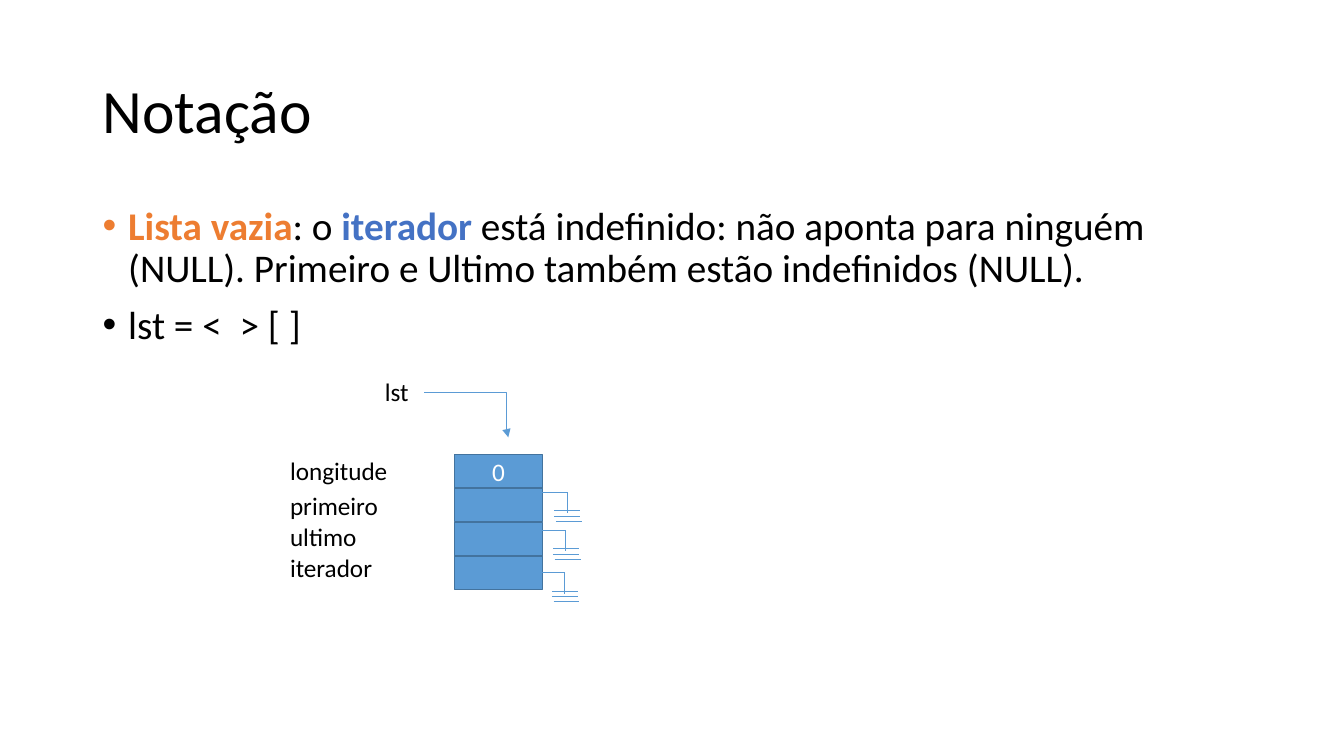
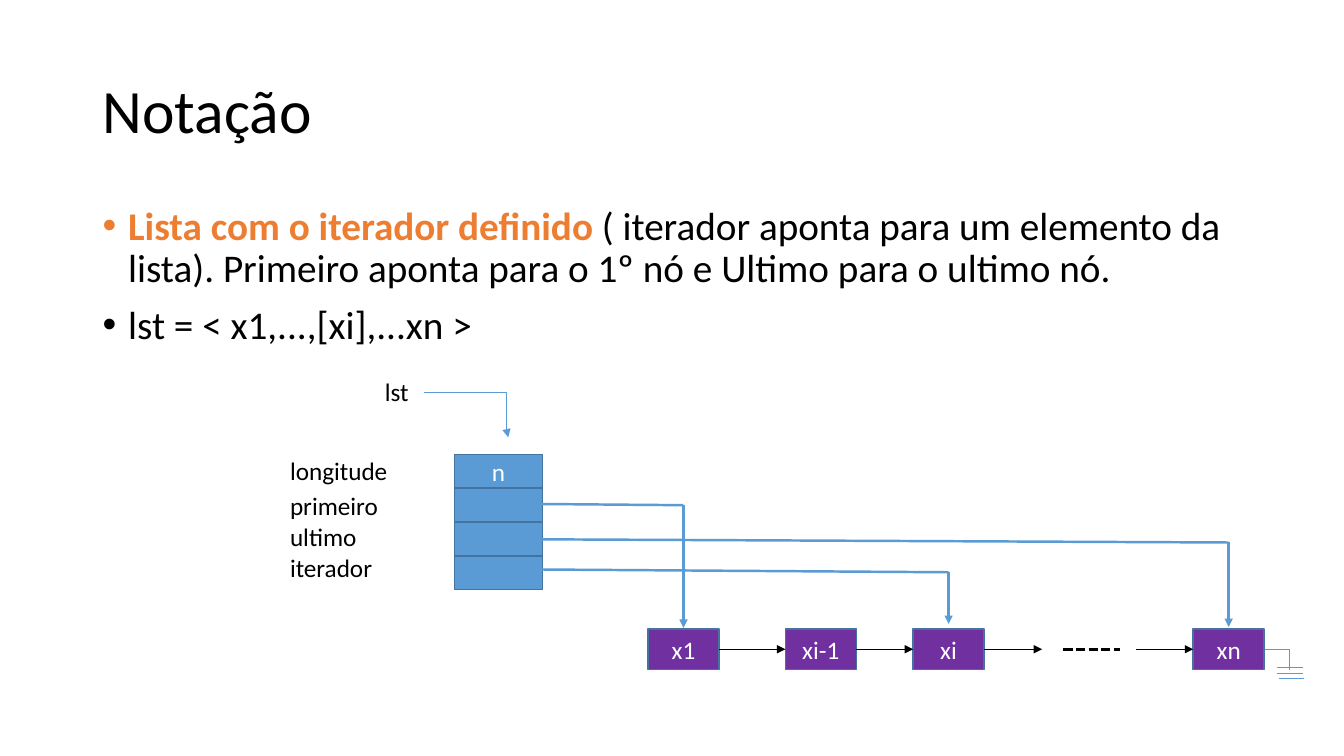
from dataclasses import dataclass
from lxml import etree
from pptx import Presentation
from pptx.dml.color import RGBColor
from pptx.enum.dml import MSO_LINE
from pptx.enum.shapes import MSO_CONNECTOR, MSO_SHAPE
from pptx.enum.text import MSO_ANCHOR, PP_ALIGN
from pptx.oxml.ns import qn
from pptx.util import Cm, Pt

STRAIGHT, ELBOW = MSO_CONNECTOR.STRAIGHT, MSO_CONNECTOR.ELBOW
RECTANGLE = MSO_SHAPE.RECTANGLE
MIDDLE, TOP = MSO_ANCHOR.MIDDLE, MSO_ANCHOR.TOP
LEFT, CENTER = PP_ALIGN.LEFT, PP_ALIGN.CENTER
DASHED = MSO_LINE.SQUARE_DOT


@dataclass(frozen=True)
class Theme:
    font: str = "Calibri"
    ink: str = "000000"
    paper: str = "FFFFFF"
    orange: str = "ED7D31"
    blue: str = "4472C4"
    record: str = "5B9BD5"
    outline: str = "43739E"
    node: str = "7030A0"
    title_size: float = 44
    body_size: float = 28
    label_size: float = 18
    thin: float = 0.5
    border: float = 1
    pointer: float = 1.75
    dash: float = 2.25


THEME = Theme()

TITLE = "Notação"
FIELDS = [("longitude", 11.35), ("primeiro", 12.24), ("ultimo", 13), ("iterador", 13.79)]
SLIDES = [
    {
        "bullets": [
            [("Lista vazia", THEME.orange), (": o ", None), ("iterador", THEME.blue),
             (" está indefinido: não aponta para ninguém (NULL). "
              "Primeiro e Ultimo também estão indefinidos (NULL).", None)],
            [("lst = <  > [ ]", None)],
        ],
        "length": "0",
        "grounds": [(13.64, 12.4), (13.61, 13.36), (13.58, 14.43)],
        "nodes": [],
        "links": [],
        "pointers": [],
    },
    {
        "bullets": [
            [("Lista com o iterador definido ", THEME.orange),
             ("( iterador aponta para um elemento da lista). "
              "Primeiro aponta para o 1º nó e Ultimo para o ultimo nó.", None)],
            [("lst = < x1,...,[xi],...xn >", None)],
        ],
        "length": "n",
        "grounds": [(31.85, 16.36)],
        "nodes": [("x1", 16.33), ("xi-1", 19.79), ("xi", 23.01), ("xn", 30.07)],
        "links": [(18.12, 19.79), (21.58, 23.01), (24.8, 26.26), (28.63, 30.07)],
        "pointers": [("x1", 13.64, 12.7, 12.73, 15.82),
                     ("xn", 13.59, 13.59, 13.67, 15.8),
                     ("xi", 13.56, 14.35, 14.42, 15.72)],
    },
]

RECORD_LEFT, RECORD_TOP, RECORD_PITCH = 11.46, 11.46, 0.85
RECORD_WIDTH, RECORD_HEIGHT = 2.21, 0.84
NODE_TOP, NODE_WIDTH, NODE_HEIGHT = 15.85, 1.79, 1.02
NODE_MIDDLE = NODE_TOP + NODE_HEIGHT / 2
ELLIPSIS = (26.8, 28.22)
GROUND_STROKES = [(0, 0, 0.65, 0), (0.65, 0, 0.65, 0.53), (0.33, 0.46, 0.98, 0.46),
                  (0.33, 0.6, 0.98, 0.6), (0.37, 0.73, 1.02, 0.73)]


def rgb(color):
    return RGBColor.from_string(color)


def style_paragraph(paragraph, size, color, align=LEFT):
    paragraph.alignment = align
    paragraph.font.name = THEME.font
    paragraph.font.size = Pt(size)
    paragraph.font.color.rgb = rgb(color)


def add_label(slide, text, box, size=THEME.label_size, anchor=TOP, line_spacing=1.0):
    frame = slide.shapes.add_textbox(*map(Cm, box)).text_frame
    frame.word_wrap = True
    frame.vertical_anchor = anchor
    paragraph = frame.paragraphs[0]
    paragraph.text = text
    paragraph.line_spacing = line_spacing
    style_paragraph(paragraph, size, THEME.ink)


def add_bullets(slide, bullets):
    frame = slide.shapes.add_textbox(Cm(2.34), Cm(5.08), Cm(29.21), Cm(12.09)).text_frame
    frame.word_wrap = True
    for index, parts in enumerate(bullets):
        paragraph = frame.add_paragraph() if index else frame.paragraphs[0]
        paragraph.line_spacing = 0.9
        paragraph.space_before = Pt(10)
        properties = paragraph._p.get_or_add_pPr()
        properties.set("marL", str(Cm(0.64)))
        properties.set("indent", str(-Cm(0.64)))
        etree.SubElement(properties, qn("a:buFont")).set("typeface", "Arial")
        etree.SubElement(properties, qn("a:buChar")).set("char", "•")
        style_paragraph(paragraph, THEME.body_size, THEME.ink)
        for text, accent in parts:
            run = paragraph.add_run()
            run.text = text
            if accent:
                run.font.bold = True
                run.font.color.rgb = rgb(accent)


def add_cell(slide, text, box, fill):
    cell = slide.shapes.add_shape(RECTANGLE, *map(Cm, box))
    cell.shadow.inherit = False
    cell.fill.solid()
    cell.fill.fore_color.rgb = rgb(fill)
    cell.line.color.rgb = rgb(THEME.outline)
    cell.line.width = Pt(THEME.border)
    if text:
        frame = cell.text_frame
        frame.word_wrap = False
        frame.vertical_anchor = MIDDLE
        frame.text = text
        style_paragraph(frame.paragraphs[0], THEME.label_size, THEME.paper, CENTER)


def add_line(slide, ends, color=THEME.record, width=THEME.thin, arrow=False, kind=STRAIGHT):
    connector = slide.shapes.add_connector(kind, *map(Cm, ends))
    connector.line.color.rgb = rgb(color)
    connector.line.width = Pt(width)
    if arrow:
        etree.SubElement(connector.line._get_or_add_ln(), qn("a:tailEnd")).set("type", "triangle")
    etree.SubElement(connector._element.spPr, qn("a:effectLst"))
    return connector


def add_record(slide, length):
    for row, (field, label_top) in enumerate(FIELDS):
        top = RECORD_TOP + row * RECORD_PITCH
        add_cell(slide, "" if row else length,
                 (RECORD_LEFT, top, RECORD_WIDTH, RECORD_HEIGHT), THEME.record)
        add_label(slide, field, (7.06, label_top, 3.38, 1.02))
    add_label(slide, "lst", (9.45, 9.37, 1.24, 1.02))
    entry = add_line(slide, (10.69, 9.88, 12.81, 11.02), arrow=True, kind=ELBOW)
    guides = entry._element.spPr.find(qn("a:prstGeom")).get_or_add_avLst()
    bend = etree.SubElement(guides, qn("a:gd"))
    bend.set("name", "adj1")
    bend.set("fmla", "val 98200")


def add_ground(slide, x, y):
    for x1, y1, x2, y2 in GROUND_STROKES:
        add_line(slide, (x + x1, y + y1, x + x2, y + y2))


def add_chain(slide, nodes, links, pointers):
    for name, left in nodes:
        add_cell(slide, name, (left, NODE_TOP, NODE_WIDTH, NODE_HEIGHT), THEME.node)
    for start, end in links:
        add_line(slide, (start, NODE_MIDDLE, end, NODE_MIDDLE), THEME.ink, arrow=True)
    if nodes:
        start, end = ELLIPSIS
        ellipsis = add_line(slide, (start, NODE_MIDDLE, end, NODE_MIDDLE), THEME.ink, THEME.dash)
        ellipsis.line.dash_style = DASHED
    lefts = dict(nodes)
    for target, x, y, bend_y, tip_y in pointers:
        center = lefts[target] + NODE_WIDTH / 2
        add_line(slide, (x, y, center, bend_y), width=THEME.pointer)
        add_line(slide, (center, bend_y, center, tip_y), width=THEME.pointer, arrow=True)


def main():
    deck = Presentation()
    deck.slide_width, deck.slide_height = Cm(33.87), Cm(19.05)
    blank = deck.slide_layouts[6]
    for content in SLIDES:
        slide = deck.slides.add_slide(blank)
        add_label(slide, TITLE, (2.34, 1.02, 29.21, 3.68), THEME.title_size, MIDDLE, 0.9)
        add_bullets(slide, content["bullets"])
        add_record(slide, content["length"])
        for x, y in content["grounds"]:
            add_ground(slide, x, y)
        add_chain(slide, content["nodes"], content["links"], content["pointers"])
    deck.save("out.pptx")


if __name__ == "__main__":
    main()
